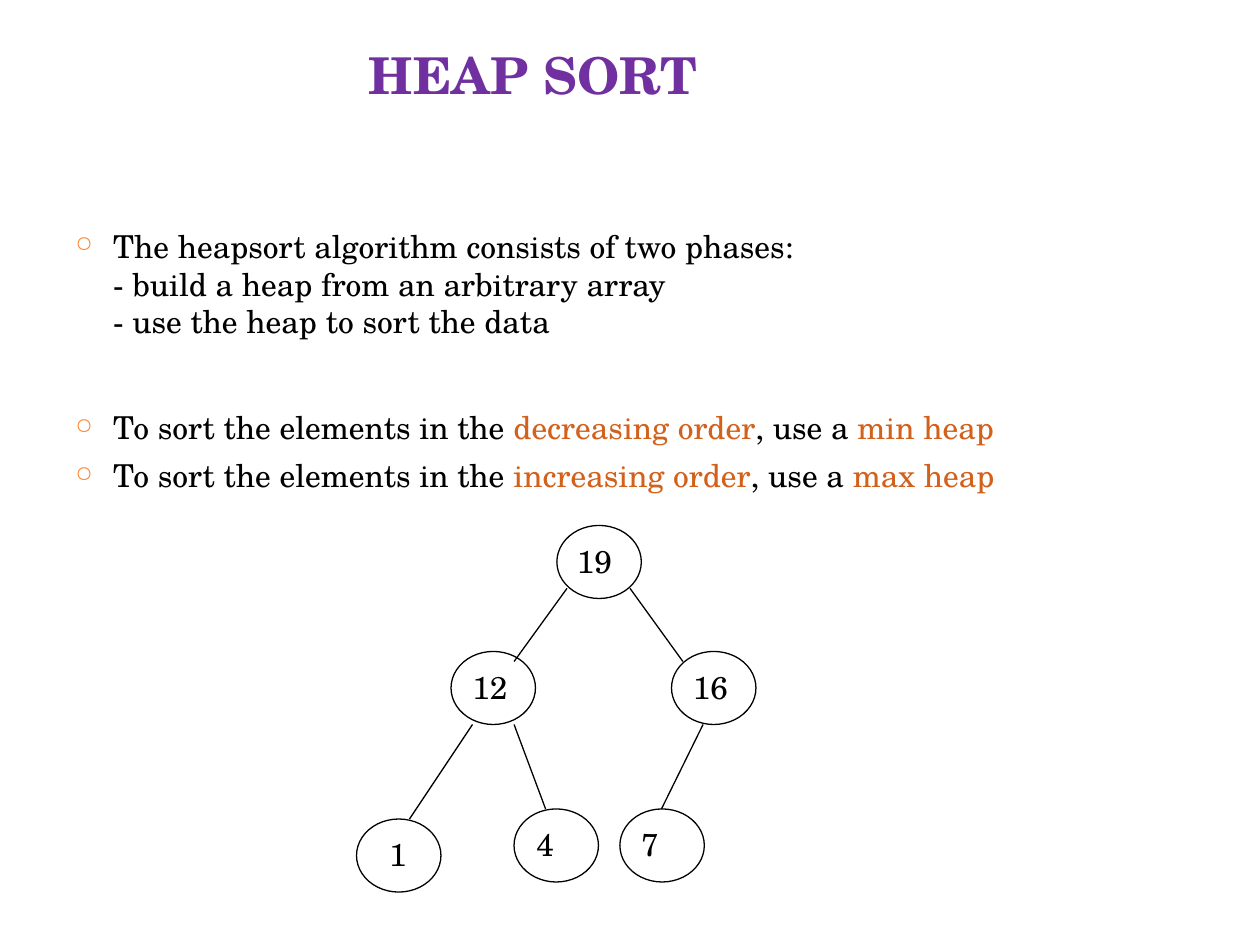
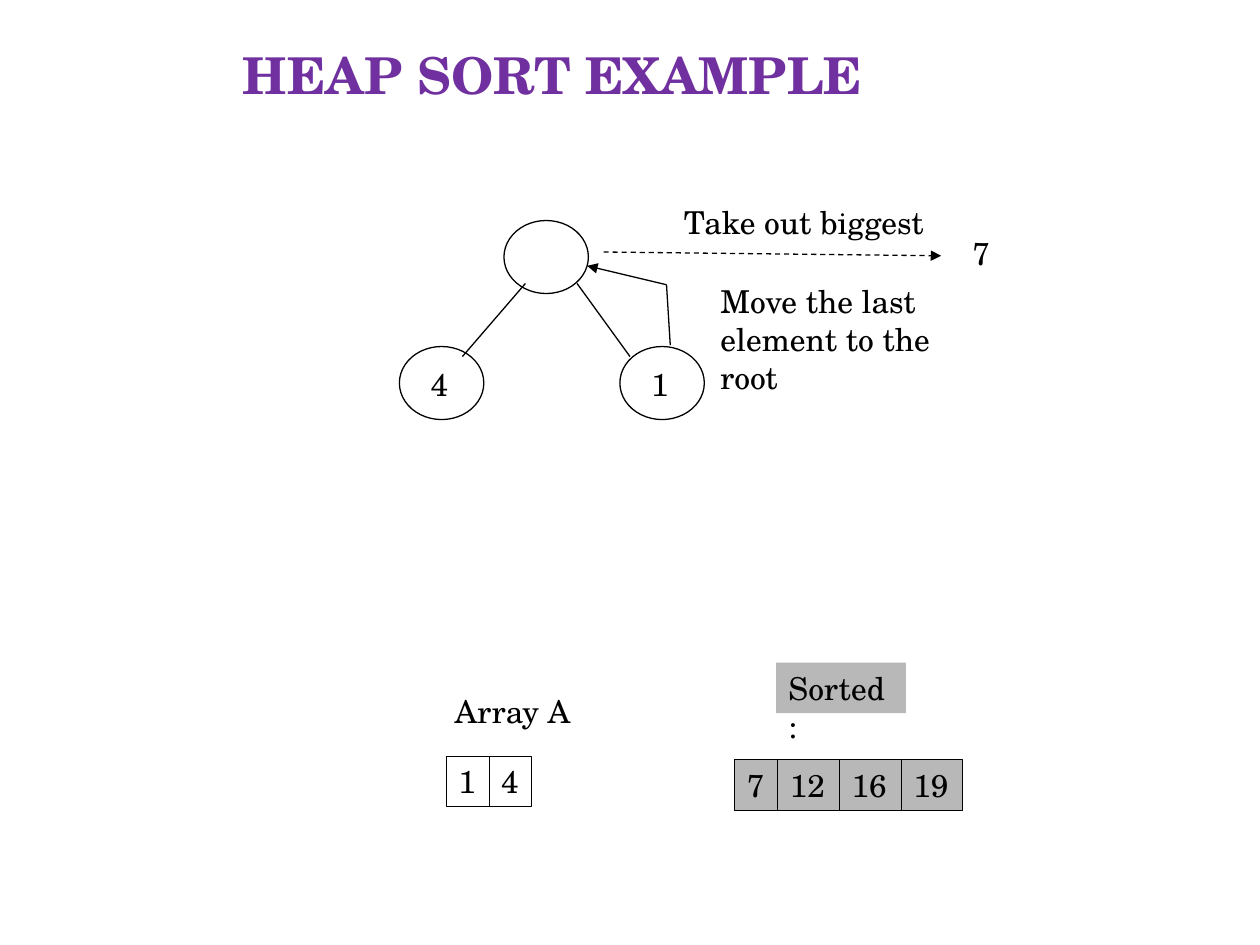
from lxml.etree import SubElement
from pptx import Presentation
from pptx.dml.color import RGBColor
from pptx.enum.dml import MSO_LINE_DASH_STYLE as Dash
from pptx.enum.shapes import MSO_CONNECTOR as Connector, MSO_SHAPE as Shape
from pptx.enum.text import MSO_ANCHOR as Anchor, PP_ALIGN as Align
from pptx.oxml.ns import qn
from pptx.util import Inches, Pt

# Shared style
FONT = "TeX Gyre Schola"
BLACK = RGBColor(0x00, 0x00, 0x00)
PURPLE = RGBColor(0x70, 0x30, 0xA0)
RUST = RGBColor(0xD2, 0x61, 0x1C)
ORANGE = RGBColor(0xFE, 0x86, 0x37)
GREY = RGBColor(0xB8, 0xB8, 0xB8)
BODY_SIZE, TITLE_SIZE = 18, 29
NODE_W, NODE_H = 0.67, 0.58
ROW_H = 0.4
DIGIT_W = {1: 0.34, 2: 0.49}  # box width by number of digits

# Slide 1: each bullet is (space before, lines), each line a list of (text, colour)
HEAP_TITLE = ("HEAP SORT", 2.83, 3.5)
BULLETS = [
    (0, [[("The heapsort algorithm consists of two phases:", BLACK)],
         [("- build a heap from an arbitrary array", BLACK)],
         [("- use the heap to sort the data", BLACK)]]),
    (38.8, [[("To sort the elements in the ", BLACK), ("decreasing order", RUST),
             (", use a ", BLACK), ("min heap", RUST)]]),
    (6, [[("To sort the elements in the ", BLACK), ("increasing order", RUST),
          (", use a ", BLACK), ("max heap", RUST)]]),
]
# Nodes: label, left, top, label offset right and down
HEAP_NODES = [
    ("19", 4.42, 4.17, 0.06, 0.08),
    ("12", 3.58, 5.17, 0.07, 0.08),
    ("16", 5.33, 5.17, 0.07, 0.08),
    ("1", 2.83, 6.5, 0.16, 0.08),
    ("4", 4.08, 6.42, 0.08, 0.08),
    ("7", 4.92, 6.42, 0.07, 0.08),
]
HEAP_EDGES = [
    ((4.5, 4.67), (4.08, 5.25)),
    ((5, 4.67), (5.42, 5.25)),
    ((3.75, 5.75), (3.25, 6.5)),
    ((4.08, 5.75), (4.33, 6.42)),
    ((5.58, 5.75), (5.25, 6.42)),
]

# Slide 2
EXAMPLE_TITLE = ("HEAP SORT EXAMPLE", 1.83, 5.83)
EXAMPLE_NODES = [
    ("", 4, 1.75, 0, 0),
    ("4", 3.17, 2.75, 0.15, 0.1),
    ("1", 4.92, 2.75, 0.15, 0.1),
]
EXAMPLE_EDGES = [((4.17, 2.25), (3.67, 2.83)), ((4.58, 2.25), (5, 2.83))]
TAKE_OUT = ((4.79, 2), (7.47, 2.03))
MOVE_UP = [(5.32, 2.74), (5.29, 2.26), (4.66, 2.11)]
NOTES = [  # lines, left, top, width
    (["Take out biggest"], 5.33, 1.56, 2.11),
    (["7"], 7.62, 1.81, 0.34),
    (["Move the last", "element to the", "root"], 5.62, 2.19, 1.93),
    (["Array A"], 3.51, 5.44, 1.12),
]
ARRAYS = [  # values, left, top, fill
    (["1", "4"], 3.54, 6, None),
    (["7", "12", "16", "19"], 5.83, 6.03, GREY),
]
SORTED_TAG = ("Sorted:", 6.16, 5.26, 1.03)


def add_run(paragraph, text, color=BLACK, size=BODY_SIZE, bold=False):
    run = paragraph.add_run()
    run.text = text
    font = run.font
    font.name, font.size, font.bold = FONT, Pt(size), bold
    font.color.rgb = color


def set_text(shape, lines, wrap=False, **style):
    frame = shape.text_frame
    frame.word_wrap = wrap
    frame.vertical_anchor = Anchor.TOP
    for i, line in enumerate(lines):
        paragraph = frame.add_paragraph() if i else frame.paragraphs[0]
        paragraph.alignment = Align.LEFT
        add_run(paragraph, line, **style)


def add_label(slide, lines, x, y, w, h=None, **style):
    h = h or 0.1 + 0.3 * len(lines)
    box = slide.shapes.add_textbox(Inches(x), Inches(y), Inches(w), Inches(h))
    set_text(box, lines, **style)


def add_outline(slide, kind, x, y, w, h, fill=None, line=None):
    shape = slide.shapes.add_shape(kind, Inches(x), Inches(y), Inches(w), Inches(h))
    shape.shadow.inherit = False
    if fill is None:
        shape.fill.background()
    else:
        shape.fill.solid()
        shape.fill.fore_color.rgb = fill
    if line is None:
        shape.line.fill.background()
    else:
        shape.line.color.rgb = BLACK
        shape.line.width = Pt(line)
    return shape


def add_edge(slide, start, end, dashed=False, arrow=False):
    edge = slide.shapes.add_connector(Connector.STRAIGHT, *map(Inches, start + end))
    edge.line.color.rgb = BLACK
    edge.line.width = Pt(0.75)
    if dashed:
        edge.line.dash_style = Dash.DASH
    if arrow:
        SubElement(edge.line._get_or_add_ln(), qn("a:tailEnd"), type="triangle")
    SubElement(edge._element.spPr, qn("a:effectLst"))


def add_tree(slide, nodes, edges):
    for label, x, y, dx, dy in nodes:
        add_outline(slide, Shape.OVAL, x, y, NODE_W, NODE_H, line=0.75)
        if label:
            add_label(slide, [label], x + dx, y + dy, DIGIT_W[len(label)])
    for start, end in edges:
        add_edge(slide, start, end)


def add_bullets(slide):
    box = slide.shapes.add_textbox(Inches(0.5), Inches(1.75), Inches(9), Inches(5.42))
    frame = box.text_frame
    frame.word_wrap = True
    for i, (space, lines) in enumerate(BULLETS):
        paragraph = frame.add_paragraph() if i else frame.paragraphs[0]
        paragraph.space_before = Pt(space)
        props = paragraph._p.get_or_add_pPr()
        props.set("marL", str(Inches(0.3)))
        props.set("indent", str(-Inches(0.3)))
        SubElement(SubElement(props, qn("a:buClr")), qn("a:srgbClr"), val=str(ORANGE))
        SubElement(props, qn("a:buSzPct"), val="70000")
        SubElement(props, qn("a:buChar"), char="○")
        for j, line in enumerate(lines):
            if j:
                paragraph.add_line_break()
            for text, color in line:
                add_run(paragraph, text, color)


def add_titled_slide(deck, title):
    text, x, w = title
    slide = deck.slides.add_slide(deck.slide_layouts[6])
    add_label(slide, [text], x, 0.3, w, 0.58, wrap=True,
              color=PURPLE, size=TITLE_SIZE, bold=True)
    return slide


def build_heap_slide(deck):
    slide = add_titled_slide(deck, HEAP_TITLE)
    add_bullets(slide)
    add_tree(slide, HEAP_NODES, HEAP_EDGES)


def build_example_slide(deck):
    slide = add_titled_slide(deck, EXAMPLE_TITLE)
    add_tree(slide, EXAMPLE_NODES, EXAMPLE_EDGES)

    # Moves: the root goes out, the last element goes up
    add_edge(slide, *TAKE_OUT, dashed=True, arrow=True)
    last, bend, root = MOVE_UP
    add_edge(slide, last, bend)
    add_edge(slide, bend, root, arrow=True)
    for note in NOTES:
        add_label(slide, *note)

    # Array cells, side by side
    for values, x, y, fill in ARRAYS:
        for value in values:
            w = DIGIT_W[len(value)]
            cell = add_outline(slide, Shape.RECTANGLE, x, y, w, ROW_H, fill, 0.25)
            set_text(cell, [value])
            x += w
    text, x, y, w = SORTED_TAG
    tag = add_outline(slide, Shape.RECTANGLE, x, y, w, ROW_H, GREY)
    set_text(tag, [text], wrap=True)


def main():
    deck = Presentation()
    deck.slide_width, deck.slide_height = Inches(10), Inches(7.5)
    build_heap_slide(deck)
    build_example_slide(deck)
    deck.save("out.pptx")


if __name__ == "__main__":
    main()
